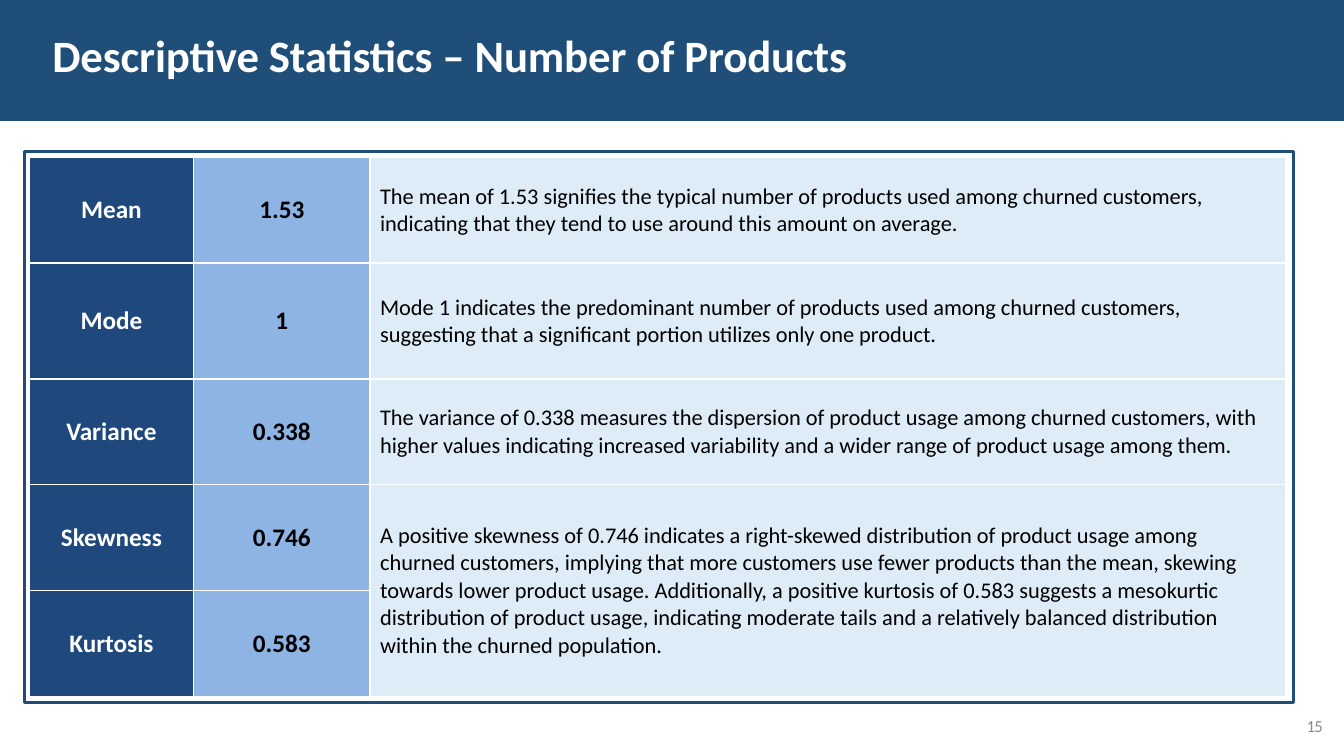
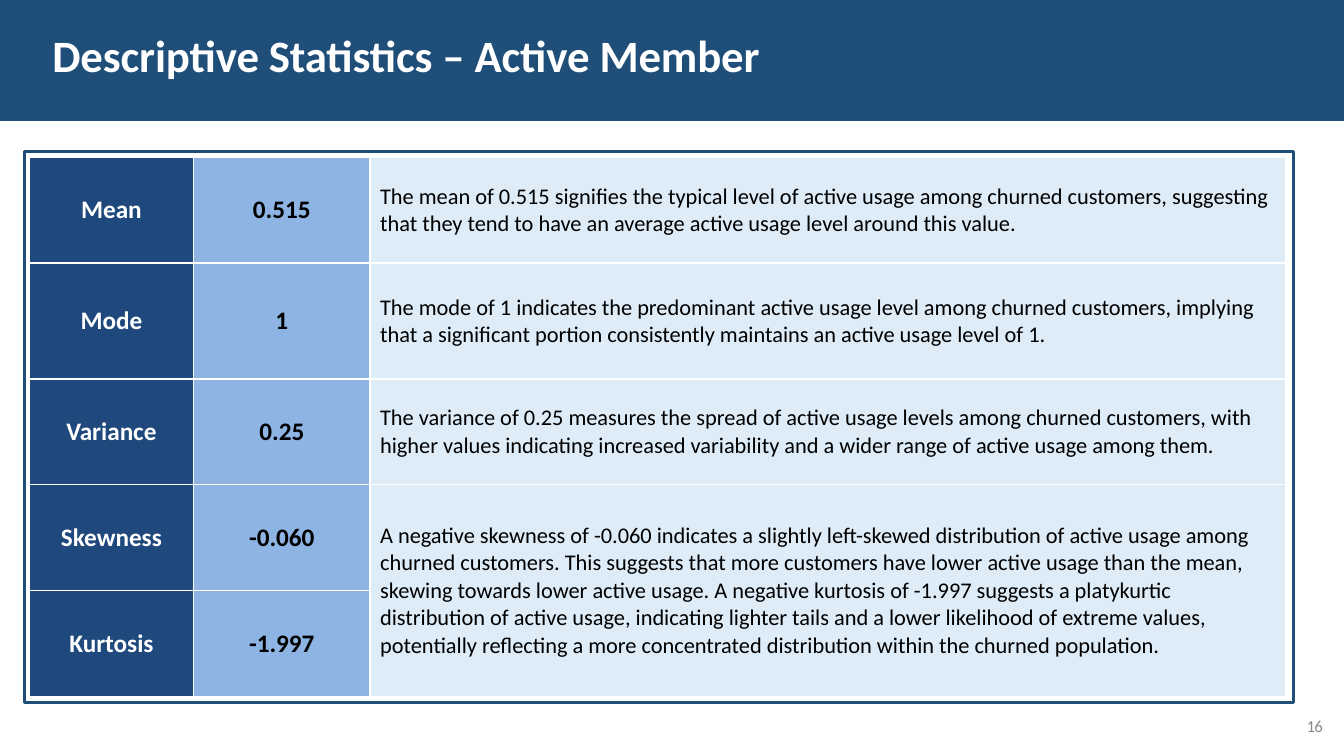
from lxml.etree import SubElement
from pptx import Presentation
from pptx.dml.color import RGBColor
from pptx.enum.shapes import MSO_SHAPE as Preset
from pptx.enum.text import MSO_ANCHOR as Anchor, PP_ALIGN as Align
from pptx.oxml.ns import qn
from pptx.util import Emu, Pt

PX = 9144
FONT = "Calibri"
WHITE = RGBColor(0xFF, 0xFF, 0xFF)
BLACK = RGBColor(0x00, 0x00, 0x00)
GRAY = RGBColor(0x89, 0x89, 0x89)
NAVY = RGBColor(0x1F, 0x4E, 0x79)
LABEL_BLUE = RGBColor(0x1F, 0x49, 0x7D)
VALUE_BLUE = RGBColor(0x8E, 0xB4, 0xE3)
PALE_BLUE = RGBColor(0xDE, 0xEC, 0xF8)

PAGE_WIDTH, PAGE_HEIGHT = 1333, 750
FIRST_NUMBER = 15
COLUMN_WIDTHS = (163, 175, 908)
ROW_HEIGHTS = (105, 115, 105, 105, 105)
CELL_STYLES = (
    (LABEL_BLUE, dict(size=18, color=WHITE, bold=True, align=Align.CENTER)),
    (VALUE_BLUE, dict(size=18, color=BLACK, bold=True, align=Align.CENTER)),
    (PALE_BLUE, dict(size=16, color=BLACK)),
)

PAGES = (
    ("Number of Products", (
        ("Mean", "1.53",
         "The mean of 1.53 signifies the typical number of products used among churned "
         "customers, indicating that they tend to use around this amount on average."),
        ("Mode", "1",
         "Mode 1 indicates the predominant number of products used among churned customers, "
         "suggesting that a significant portion utilizes only one product."),
        ("Variance", "0.338",
         "The variance of 0.338 measures the dispersion of product usage among churned "
         "customers, with higher values indicating increased variability and a wider range "
         "of product usage among them."),
        ("Skewness", "0.746",
         "A positive skewness of 0.746 indicates a right-skewed distribution of product usage "
         "among churned customers, implying that more customers use fewer products than the "
         "mean, skewing towards lower product usage. Additionally, a positive kurtosis of "
         "0.583 suggests a mesokurtic distribution of product usage, indicating moderate "
         "tails and a relatively balanced distribution within the churned population."),
        ("Kurtosis", "0.583"),
    )),
    ("Active Member", (
        ("Mean", "0.515",
         "The mean of 0.515 signifies the typical level of active usage among churned "
         "customers, suggesting that they tend to have an average active usage level around "
         "this value."),
        ("Mode", "1",
         "The mode of 1 indicates the predominant active usage level among churned customers, "
         "implying that a significant portion consistently maintains an active usage level "
         "of 1."),
        ("Variance", "0.25",
         "The variance of 0.25 measures the spread of active usage levels among churned "
         "customers, with higher values indicating increased variability and a wider range "
         "of active usage among them."),
        ("Skewness", "-0.060",
         "A negative skewness of -0.060 indicates a slightly left-skewed distribution of "
         "active usage among churned customers. This suggests that more customers have lower "
         "active usage than the mean, skewing towards lower active usage. A negative kurtosis "
         "of -1.997 suggests a platykurtic distribution of active usage, indicating lighter "
         "tails and a lower likelihood of extreme values, potentially reflecting a more "
         "concentrated distribution within the churned population."),
        ("Kurtosis", "-1.997"),
    )),
)


def px(*lengths):
    return [Emu(length * PX) for length in lengths]


def write_text(frame, text, size, color, bold=False, align=Align.LEFT, spacing=0):
    para = frame.paragraphs[0]
    para.alignment = align
    span = para.add_run()
    span.text = text
    span.font.name = FONT
    span.font.size = Pt(size)
    span.font.bold = bold
    span.font.color.rgb = color
    if spacing:
        span._r.get_or_add_rPr().set("spc", str(spacing))


def add_text(page, text, place, indent, **style):
    box = page.shapes.add_textbox(*px(*place))
    frame = box.text_frame
    frame.word_wrap = True
    frame.margin_left, frame.margin_top, frame.margin_right, frame.margin_bottom = px(
        indent, 2, 0, 0)
    write_text(frame, text, **style)


def add_rectangle(page, place, fill=None, line=None):
    box = page.shapes.add_shape(Preset.RECTANGLE, *px(*place))
    box.shadow.inherit = False
    if fill is None:
        box.fill.background()
    else:
        box.fill.solid()
        box.fill.fore_color.rgb = fill
    if line is None:
        box.line.fill.background()
    else:
        box.line.color.rgb = line
        box.line.width = Pt(2.25)


def add_borders(cell):
    properties = cell._tc.get_or_add_tcPr()
    for side in ("a:lnL", "a:lnR", "a:lnT", "a:lnB"):
        border = SubElement(properties, qn(side), w=str(Pt(1)))
        fill = SubElement(border, qn("a:solidFill"))
        SubElement(fill, qn("a:srgbClr"), val=str(WHITE))


def add_statistics(page, rows):
    place = px(29, 156, sum(COLUMN_WIDTHS), sum(ROW_HEIGHTS))
    table = page.shapes.add_table(len(rows), len(COLUMN_WIDTHS), *place).table
    table.first_row = table.horz_banding = False
    for column, width in zip(table.columns, px(*COLUMN_WIDTHS)):
        column.width = width
    for row, height in zip(table.rows, px(*ROW_HEIGHTS)):
        row.height = height
    for row, texts in enumerate(rows):
        for column, (fill, style) in enumerate(CELL_STYLES):
            cell = table.cell(row, column)
            add_borders(cell)
            cell.fill.solid()
            cell.fill.fore_color.rgb = fill
            cell.vertical_anchor = Anchor.MIDDLE
            if column < len(texts):
                write_text(cell.text_frame, texts[column], **style)
            else:
                table.cell(row - 1, column).merge(cell)


def add_page(deck, number, topic, rows):
    page = deck.slides.add_slide(deck.slide_layouts[6])
    add_rectangle(page, (0, 0, PAGE_WIDTH, 120), fill=NAVY)
    add_text(page, f"Descriptive Statistics – {topic}", (51, 26, 1012, 56), indent=1,
             size=32, color=WHITE, bold=True, spacing=-10)
    add_text(page, str(number), (1283, 708, 39, 21), indent=13,
             size=12, color=GRAY, spacing=-50)
    add_rectangle(page, (24, 150, 1259, 547), line=NAVY)
    add_statistics(page, rows)


def main():
    deck = Presentation()
    deck.slide_width, deck.slide_height = px(PAGE_WIDTH, PAGE_HEIGHT)
    for number, (topic, rows) in enumerate(PAGES, FIRST_NUMBER):
        add_page(deck, number, topic, rows)
    deck.save("out.pptx")


if __name__ == "__main__":
    main()
